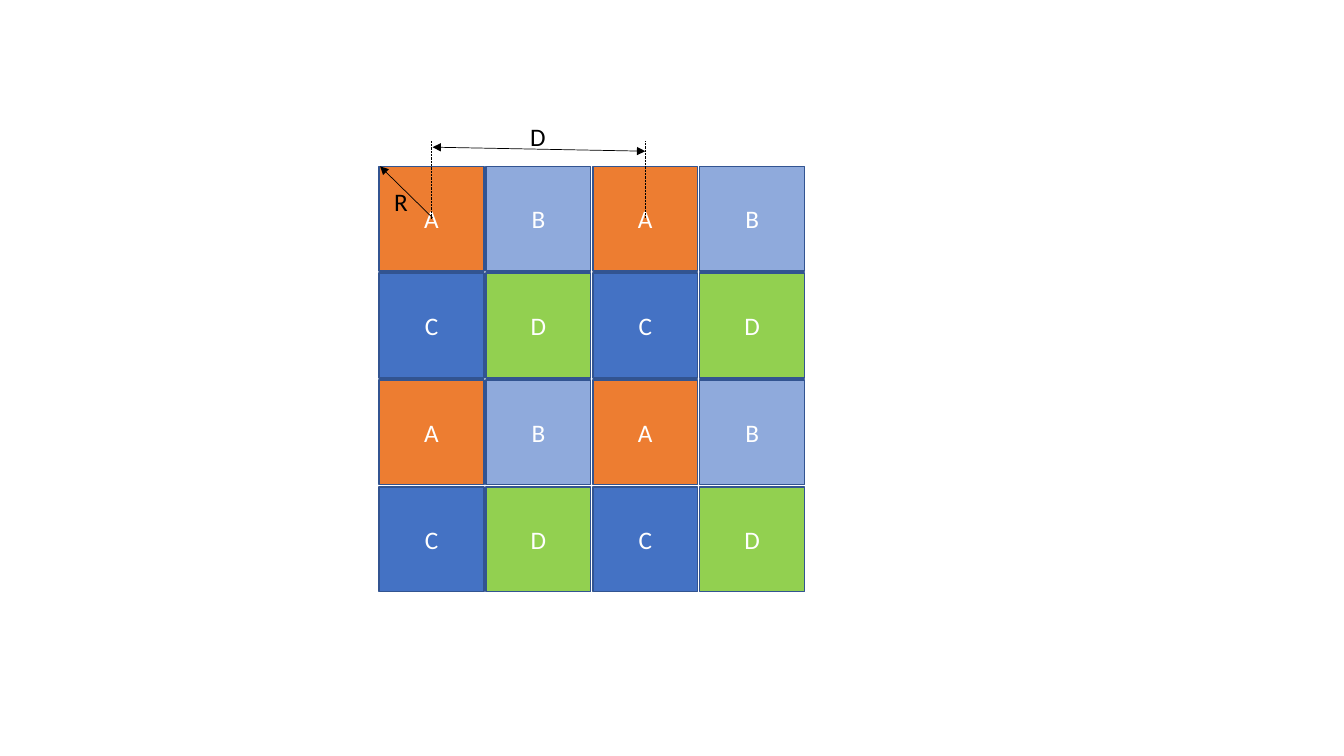
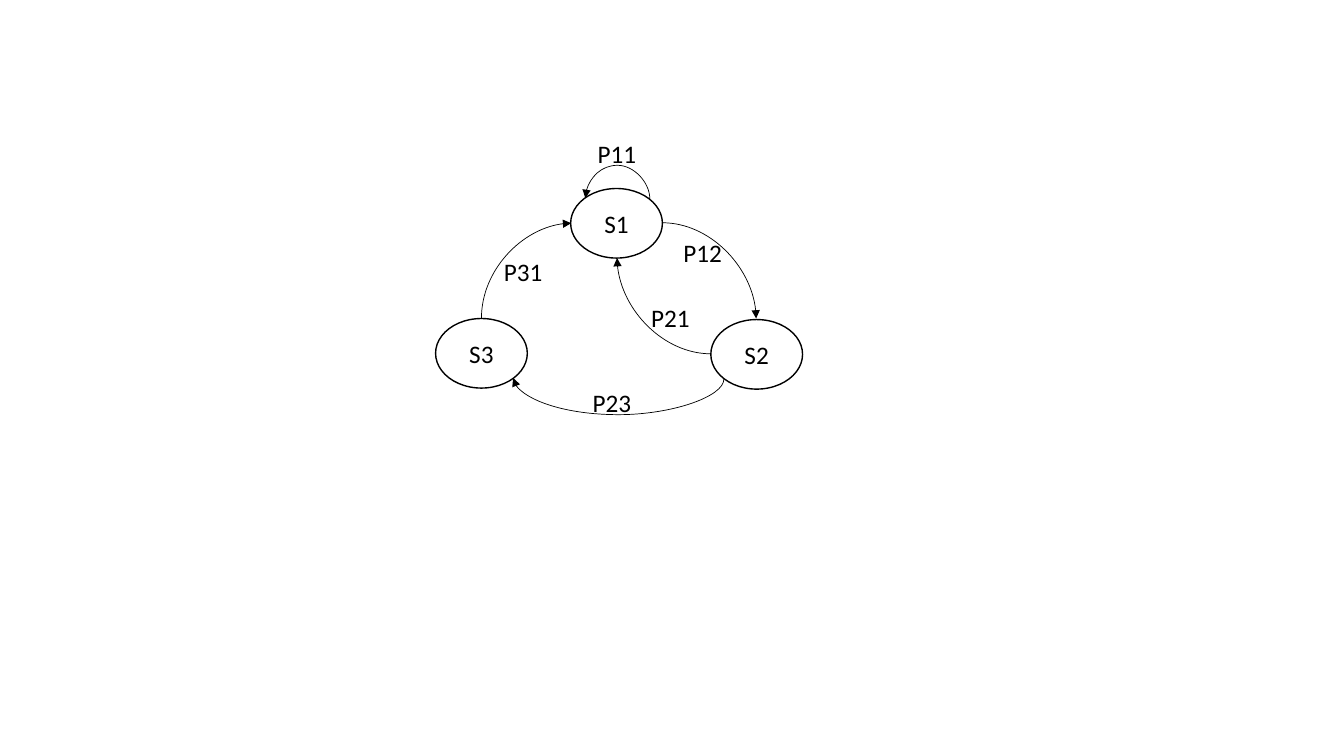
from typing import NamedTuple

from lxml.etree import SubElement
from pptx import Presentation
from pptx.dml.color import RGBColor
from pptx.enum.dml import MSO_LINE
from pptx.enum.shapes import MSO_CONNECTOR, MSO_SHAPE
from pptx.enum.text import MSO_ANCHOR, MSO_AUTO_SIZE, PP_ALIGN
from pptx.oxml.ns import qn
from pptx.shapes.autoshape import Shape
from pptx.shapes.connector import Connector
from pptx.slide import Slide
from pptx.util import Emu, Pt

SCALE = 9144  # EMU per px, 100 px to the inch
BLACK, WHITE, EDGE = "000000", "FFFFFF", "325491"
FILLS = {"A": "ED7D31", "B": "8FAADC", "C": "4472C4", "D": "92D050"}
FONT = {"name": "Calibri", "size": Pt(18)}
MIDDLE = {"vertical_anchor": MSO_ANCHOR.MIDDLE, "word_wrap": True}
LOOSE = {"word_wrap": False, "auto_size": MSO_AUTO_SIZE.SHAPE_TO_FIT_TEXT}

GRID = ("ABAB", "CDCD", "ABAB", "CDCD")
LEFT, TOP, SIDE, STEP = 376, 165, 104, 106
NODE_W, NODE_H = 91, 69
TEXT_H = 40


class Label(NamedTuple):
    text: str
    x: int
    y: int
    w: int


class Line(NamedTuple):
    x1: int
    y1: int
    x2: int
    y2: int
    head: bool = False
    tail: bool = False
    dash: bool = False


class Node(NamedTuple):
    name: str
    x: int
    y: int


class Curve(NamedTuple):
    """Box before turning, the joined nodes with their sites, and the bend."""
    start: str
    start_site: int
    end: str
    end_site: int
    x: int
    y: int
    w: int
    h: int
    turn: int = 0
    flips: str = ""
    bend: int = 0


LINES = (
    Line(429, 216, 377, 165, tail=True),
    Line(640, 216, 640, 140, dash=True),
    Line(428, 217, 428, 140, dash=True),
    Line(429, 146, 640, 150, head=True, tail=True),
)
SIZES = (Label("D", 516, 115, 34), Label("R", 381, 180, 34))

NODES = (Node("S1", 566, 187), Node("S2", 705, 317), Node("S3", 432, 316))
CURVES = (
    Curve("S1", 6, "S2", 0, 657, 221, 93, 95),
    Curve("S2", 2, "S1", 4, 612, 256, 93, 95, 180),
    Curve("S2", 3, "S3", 5, 613, 271, 1, 209, 90, "H", -36),
    Curve("S3", 0, "S1", 2, 475, 224, 94, 89, 90, "HV"),
    Curve("S1", 7, "S1", 1, 612, 165, 1, 64, 270, "V", 34),
)
ODDS = (
    Label("P23", 578, 379, 60),
    Label("P21", 636, 295, 60),
    Label("P11", 583, 132, 60),
    Label("P31", 490, 249, 60),
    Label("P12", 668, 231, 60),
)


def px(*sizes: int) -> list[Emu]:
    return [Emu(size * SCALE) for size in sizes]


def paint(form, code: str) -> None:
    """Give a fill or line one plain colour."""
    form.solid()
    form.fore_color.rgb = RGBColor.from_string(code)


def apply(target, values: dict) -> None:
    for name, value in values.items():
        setattr(target, name, value)


def write(shape: Shape, text: str, code: str, frame: dict, align: PP_ALIGN) -> None:
    apply(shape.text_frame, frame)
    para = shape.text_frame.paragraphs[0]
    para.alignment = align
    run = para.add_run()
    run.text = text
    apply(run.font, FONT)
    paint(run.font.fill, code)


def add_block(slide: Slide, kind: MSO_SHAPE, box: list[Emu], text: str,
              fill: str, edge: str, ink: str) -> Shape:
    shape = slide.shapes.add_shape(kind, *box)
    shape.shadow.inherit = False
    paint(shape.fill, fill)
    paint(shape.line.fill, edge)
    shape.line.width = Pt(1)
    write(shape, text, ink, MIDDLE, PP_ALIGN.CENTER)
    return shape


def add_label(slide: Slide, label: Label) -> None:
    box = slide.shapes.add_textbox(*px(label.x, label.y, label.w, TEXT_H))
    write(box, label.text, BLACK, LOOSE, PP_ALIGN.LEFT)


def style(link: Connector, head: bool, tail: bool, dash: bool = False) -> None:
    paint(link.line.fill, BLACK)
    link.line.width = Pt(0.5)
    if dash:
        link.line.dash_style = MSO_LINE.ROUND_DOT
    props = link._element.find(qn("p:spPr"))
    for tag, shown in (("a:headEnd", head), ("a:tailEnd", tail)):
        if shown:
            SubElement(props.find(qn("a:ln")), qn(tag), type="triangle")
    SubElement(props, qn("a:effectLst"))


def add_line(slide: Slide, line: Line) -> None:
    ends = px(line.x1, line.y1, line.x2, line.y2)
    link = slide.shapes.add_connector(MSO_CONNECTOR.STRAIGHT, *ends)
    style(link, line.head, line.tail, line.dash)


def add_curve(slide: Slide, curve: Curve, nodes: dict[str, Shape]) -> None:
    ends = px(curve.x, curve.y, curve.x + curve.w, curve.y + curve.h)
    link = slide.shapes.add_connector(MSO_CONNECTOR.CURVE, *ends)
    props = link._element.find(qn("p:spPr"))
    frame = props.find(qn("a:xfrm"))
    frame.set("rot", str(curve.turn * 60000))
    for axis in curve.flips:
        frame.set(f"flip{axis}", "1")
    shape = props.find(qn("a:prstGeom"))
    if curve.bend:
        SubElement(shape.find(qn("a:avLst")), qn("a:gd"), name="adj1",
                   fmla=f"val {curve.bend * 100000 // curve.w}")
    else:
        shape.set("prst", "curvedConnector2")
    joints = link._element.find(".//" + qn("p:cNvCxnSpPr"))
    for tag, name, site in (("a:stCxn", curve.start, curve.start_site),
                            ("a:endCxn", curve.end, curve.end_site)):
        SubElement(joints, qn(tag), id=str(nodes[name].shape_id), idx=str(site))
    style(link, head=False, tail=True)


def draw_grid(slide: Slide) -> None:
    for row, names in enumerate(GRID):
        for col, name in enumerate(names):
            box = px(LEFT + col * STEP, TOP + row * STEP, SIDE, SIDE)
            add_block(slide, MSO_SHAPE.RECTANGLE, box, name, FILLS[name], EDGE, WHITE)
    for line in LINES:
        add_line(slide, line)
    for label in SIZES:
        add_label(slide, label)


def draw_states(slide: Slide) -> None:
    nodes = {
        node.name: add_block(slide, MSO_SHAPE.OVAL, px(node.x, node.y, NODE_W, NODE_H),
                             node.name, WHITE, BLACK, BLACK)
        for node in NODES
    }
    for curve in CURVES:
        add_curve(slide, curve, nodes)
    for label in ODDS:
        add_label(slide, label)


def main() -> None:
    deck = Presentation()
    deck.slide_width, deck.slide_height = px(1333, 750)
    for draw in (draw_grid, draw_states):
        draw(deck.slides.add_slide(deck.slide_layouts[6]))
    deck.save("out.pptx")


if __name__ == "__main__":
    main()
